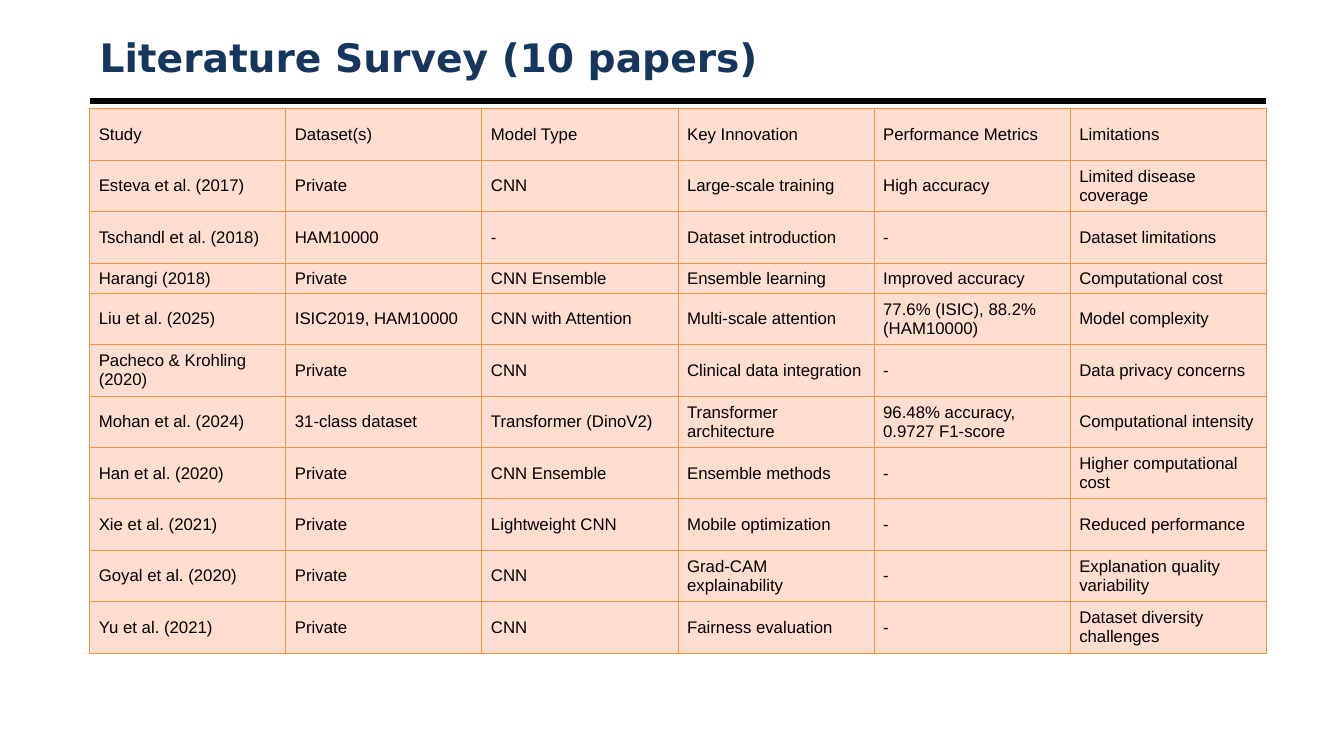
"""Build the literature survey slide."""
import pptx
import pptx.dml.color
import pptx.enum.shapes
import pptx.enum.text
import pptx.oxml
import pptx.oxml.ns
import pptx.util

Inches = pptx.util.Inches
RGBColor = pptx.dml.color.RGBColor
MIDDLE = pptx.enum.text.MSO_ANCHOR.MIDDLE

NAVY = RGBColor(0x17, 0x36, 0x5D)
BLACK = RGBColor(0, 0, 0)
PEACH = RGBColor(0xFF, 0xDD, 0xCF)
ORANGE = RGBColor(0xF6, 0x92, 0x40)

LEFT = Inches(0.89)
WIDTH = Inches(11.67)
TALL = Inches(0.51)
SHORT = Inches(0.3)
SHORT_ROW = 3

PAPERS = [
    ("Study", "Dataset(s)", "Model Type", "Key Innovation",
     "Performance Metrics", "Limitations"),
    ("Esteva et al. (2017)", "Private", "CNN", "Large-scale training",
     "High accuracy", "Limited disease coverage"),
    ("Tschandl et al. (2018)", "HAM10000", "-", "Dataset introduction",
     "-", "Dataset limitations"),
    ("Harangi (2018)", "Private", "CNN Ensemble", "Ensemble learning",
     "Improved accuracy", "Computational cost"),
    ("Liu et al. (2025)", "ISIC2019, HAM10000", "CNN with Attention",
     "Multi-scale attention", "77.6% (ISIC), 88.2% (HAM10000)",
     "Model complexity"),
    ("Pacheco & Krohling (2020)", "Private", "CNN",
     "Clinical data integration", "-", "Data privacy concerns"),
    ("Mohan et al. (2024)", "31-class dataset", "Transformer (DinoV2)",
     "Transformer architecture", "96.48% accuracy, 0.9727 F1-score",
     "Computational intensity"),
    ("Han et al. (2020)", "Private", "CNN Ensemble", "Ensemble methods",
     "-", "Higher computational cost"),
    ("Xie et al. (2021)", "Private", "Lightweight CNN",
     "Mobile optimization", "-", "Reduced performance"),
    ("Goyal et al. (2020)", "Private", "CNN", "Grad-CAM explainability",
     "-", "Explanation quality variability"),
    ("Yu et al. (2021)", "Private", "CNN", "Fairness evaluation",
     "-", "Dataset diversity challenges"),
]


def style_text(frame, face, size, color, bold=False):
    """Format every run in a text frame."""
    for para in frame.paragraphs:
        for run in para.runs:
            run.font.name = face
            run.font.size = pptx.util.Pt(size)
            run.font.color.rgb = color
            run.font.bold = bold


def add_rule(slide):
    """Draw the heavy line below the title."""
    rule = slide.shapes.add_connector(
        pptx.enum.shapes.MSO_CONNECTOR.STRAIGHT,
        LEFT, Inches(1), LEFT + WIDTH, Inches(1))
    rule.line.color.rgb = BLACK
    rule.line.width = pptx.util.Pt(4.5)
    props = rule._element.spPr
    props.append(pptx.oxml.parse_xml(
        f"<a:effectLst {pptx.oxml.ns.nsdecls('a')}/>"))


def add_title(slide, text):
    """Add the slide title."""
    box = slide.shapes.add_textbox(LEFT, Inches(0.3), WIDTH, Inches(0.53))
    frame = box.text_frame
    frame.word_wrap = True
    frame.vertical_anchor = MIDDLE
    frame.text = text
    style_text(frame, "DejaVu Sans", 28, NAVY, True)


def set_border(cell):
    """Put a thin orange line on each side of a cell."""
    props = cell._tc.get_or_add_tcPr()
    for side in ("lnL", "lnR", "lnT", "lnB"):
        props.append(pptx.oxml.parse_xml(
            f"<a:{side} {pptx.oxml.ns.nsdecls('a')} w='{pptx.util.Pt(0.75)}'>"
            f"<a:solidFill><a:srgbClr val='{ORANGE}'/></a:solidFill>"
            f"</a:{side}>"))


def fill_cell(cell, text):
    """Write and style one table cell."""
    set_border(cell)
    cell.fill.solid()
    cell.fill.fore_color.rgb = PEACH
    cell.vertical_anchor = MIDDLE
    cell.margin_left = cell.margin_right = Inches(0.09)
    cell.margin_top = cell.margin_bottom = Inches(0.05)
    cell.text_frame.text = text
    style_text(cell.text_frame, "Arial", 12, BLACK)


def add_survey(slide, data):
    """Add the table of papers."""
    count = len(data[0])
    height = TALL * (len(data) - 1) + SHORT
    table = slide.shapes.add_table(
        len(data), count, LEFT, Inches(1.08), WIDTH, height).table
    table.first_row = False
    table.horz_banding = False
    for col in table.columns:
        col.width = WIDTH // count
    for r, texts in enumerate(data):
        table.rows[r].height = SHORT if r == SHORT_ROW else TALL
        for c, text in enumerate(texts):
            fill_cell(table.cell(r, c), text)


def main():
    """Build and save the deck."""
    deck = pptx.Presentation()
    deck.slide_width = Inches(13.33)
    deck.slide_height = Inches(7.5)
    slide = deck.slides.add_slide(deck.slide_layouts[6])
    add_rule(slide)
    add_title(slide, "Literature Survey (10 papers)")
    add_survey(slide, PAPERS)
    deck.save("out.pptx")


if __name__ == "__main__":
    main()
